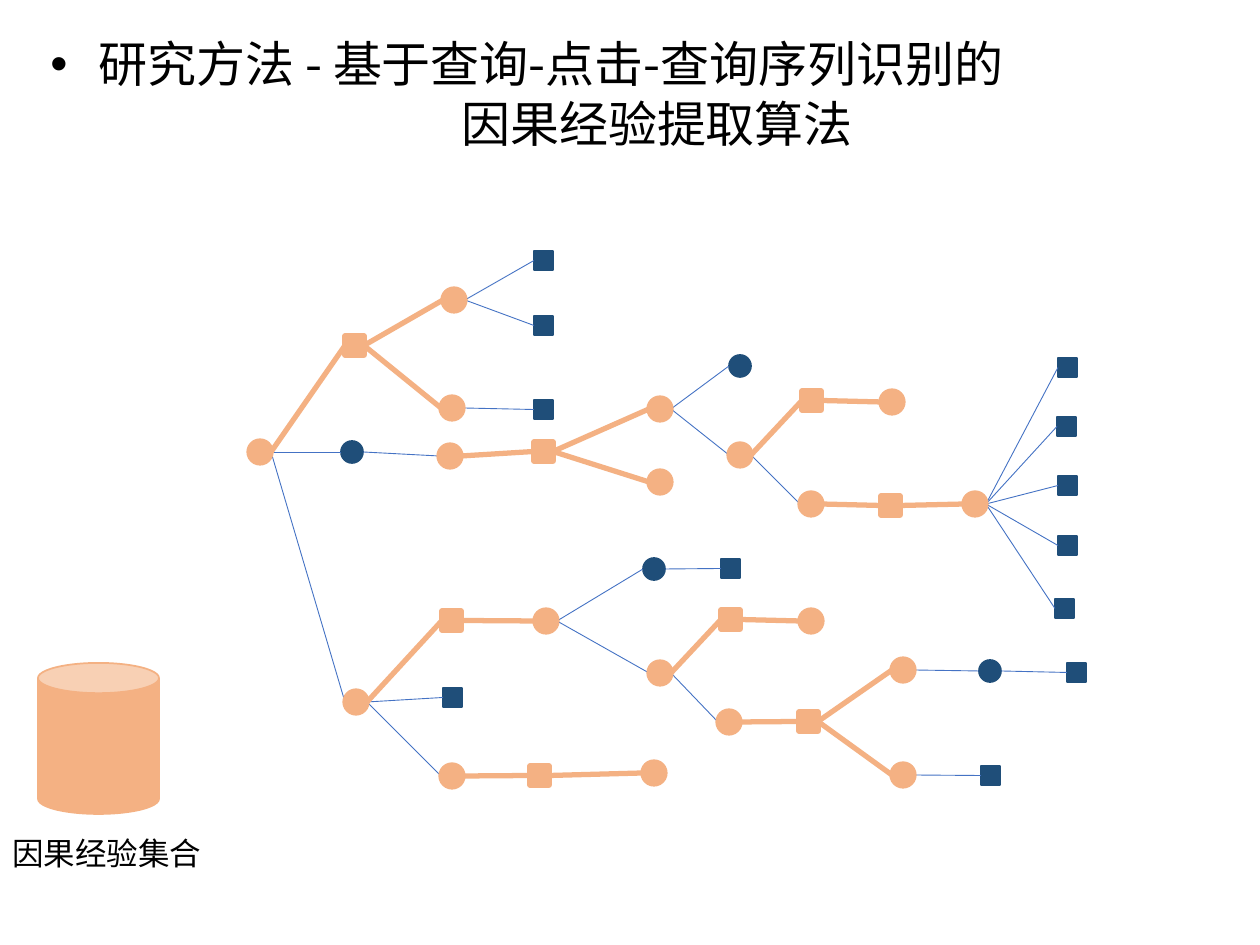
from dataclasses import dataclass
from typing import Optional

import lxml.etree
import pptx
import pptx.dml.color
import pptx.enum.shapes
import pptx.enum.text
import pptx.oxml.ns
import pptx.util

SHAPE = pptx.enum.shapes.MSO_SHAPE
RGB = pptx.dml.color.RGBColor
PX = 914400 / 126
FONT = "Noto Sans CJK SC"
BLACK = RGB(0x00, 0x00, 0x00)
NAVY = RGB(0x1F, 0x4E, 0x79)
BLUE = RGB(0x44, 0x72, 0xC4)
ORANGE = RGB(0xF4, 0xB1, 0x83)


@dataclass(frozen=True)
class Node:
    left: int
    top: int
    size: int

    @property
    def is_box(self) -> bool:
        return self.size == 19


@dataclass(frozen=True)
class Chain:
    nodes: tuple[str, ...]
    links: tuple[tuple[str, str], ...]


def dot(left: int, top: int) -> Node:
    return Node(left, top, 22)


def box(left: int, top: int) -> Node:
    return Node(left, top, 19)


def emu(px: float) -> int:
    return round(px * PX)


def add_solid(shapes, kind, left: int, top: int, width: int, height: int,
              color: RGB, border: float):
    solid = shapes.add_shape(kind, emu(left), emu(top), emu(width), emu(height))
    solid.shadow.inherit = False
    solid.fill.solid()
    solid.fill.fore_color.rgb = color
    solid.line.color.rgb = color
    solid.line.width = pptx.util.Pt(border)
    return solid


def add_node(shapes, name: str, color: RGB, border: float) -> None:
    node = NODES[name]
    kind = SHAPE.RECTANGLE if node.is_box else SHAPE.OVAL
    drawn[name] = add_solid(shapes, kind, node.left, node.top, node.size, node.size,
                            color, border)


def add_link(shapes, parent: str, child: str, color: RGB, width: float) -> None:
    start, end = NODES[parent], NODES[child]
    link = shapes.add_connector(
        pptx.enum.shapes.MSO_CONNECTOR.STRAIGHT,
        emu(start.left + start.size), emu(start.top + start.size / 2),
        emu(end.left), emu(end.top + end.size / 2))
    if start.is_box:
        link.begin_connect(drawn[parent], 3)
    if end.is_box:
        link.end_connect(drawn[child], 1)
    link.line.color.rgb = color
    link.line.width = pptx.util.Pt(width)
    lxml.etree.SubElement(link._element.spPr, pptx.oxml.ns.qn("a:effectLst"))


def add_text(shapes, left: int, top: int, width: int, height: int):
    frame = shapes.add_textbox(emu(left), emu(top), emu(width), emu(height)).text_frame
    frame.word_wrap = True
    frame.auto_size = pptx.enum.text.MSO_AUTO_SIZE.SHAPE_TO_FIT_TEXT
    return frame


def write_line(paragraph, text: str, size: int, spacing: int, margin: int = 0,
               bullet: Optional[str] = None) -> None:
    paragraph.line_spacing = pptx.util.Pt(spacing)
    props = paragraph._p.get_or_add_pPr()
    props.set("marL", str(emu(margin)))
    props.set("indent", str(emu(-margin if bullet else 0)))
    if bullet:
        font = lxml.etree.SubElement(props, pptx.oxml.ns.qn("a:buFont"))
        font.set("typeface", "Arial")
        lxml.etree.SubElement(props, pptx.oxml.ns.qn("a:buChar")).set("char", bullet)
    run = paragraph.add_run()
    run.text = text
    run.font.size = pptx.util.Pt(size)
    run.font.name = FONT
    run.font.color.rgb = BLACK
    east_asian = lxml.etree.SubElement(run._r.get_or_add_rPr(), pptx.oxml.ns.qn("a:ea"))
    east_asian.set("typeface", FONT)


# Search tree: dots are queries, boxes are clicks
NODES = {
    "root": dot(249, 441),
    "a": box(345, 336), "a1": dot(443, 289), "a2": dot(441, 397),
    "b0": dot(439, 445), "b": box(534, 442), "b1": dot(649, 398), "b2": dot(649, 471),
    "c0": dot(729, 444), "c": box(802, 391), "c1": dot(881, 391),
    "d0": dot(800, 493), "d": box(881, 496), "d1": dot(964, 493),
    "e0": dot(345, 691), "e": box(442, 611), "e1": dot(535, 610),
    "f0": dot(441, 765), "f": box(530, 766), "f1": dot(643, 762),
    "g0": dot(649, 662), "g": box(721, 610), "g1": dot(800, 610),
    "h0": dot(718, 711), "h": box(799, 712), "h1": dot(892, 659), "h2": dot(892, 764),
    "root_query": dot(341, 441), "b1_query": dot(729, 355),
    "e1_query": dot(643, 558), "h1_query": dot(979, 660),
    "a1_upper": box(534, 251), "a1_lower": box(534, 316), "a2_click": box(534, 400),
    "d1_click1": box(1058, 358), "d1_click2": box(1057, 417), "d1_click3": box(1058, 476),
    "d1_click4": box(1058, 536), "d1_click5": box(1055, 599),
    "e0_click": box(443, 688), "e1_click": box(721, 559),
    "h1_click": box(1067, 663), "h2_click": box(981, 766),
}

# Causal experiences found in the tree
CHAINS = [
    Chain(("root", "a", "a1", "a2"), (("root", "a"), ("a", "a1"), ("a", "a2"))),
    Chain(("b0", "b", "b1", "b2"), (("b0", "b"), ("b", "b1"), ("b", "b2"))),
    *(Chain((f"{key}0", key, f"{key}1"), ((f"{key}0", key), (key, f"{key}1")))
      for key in "cdefg"),
    Chain(("h0", "h", "h1", "h2"), (("h0", "h"), ("h", "h1"), ("h", "h2"))),
]

# Remaining steps of the tree
PLAIN_LINKS = [
    ("a1", "a1_upper"), ("a1", "a1_lower"), ("a2", "a2_click"),
    ("root", "root_query"), ("root_query", "b0"), ("root", "e0"),
    ("b1", "b1_query"), ("b1", "c0"), ("c0", "d0"),
    *(("d1", f"d1_click{number}") for number in range(1, 6)),
    ("e0", "e0_click"), ("e0", "f0"),
    ("e1", "e1_query"), ("e1_query", "e1_click"), ("e1", "g0"), ("g0", "h0"),
    ("h1", "h1_query"), ("h1_query", "h1_click"), ("h2", "h2_click"),
]

drawn = {}


def main() -> None:
    deck = pptx.Presentation()
    deck.slide_width, deck.slide_height = pptx.util.Inches(10), pptx.util.Inches(7.5)
    shapes = deck.slides.add_slide(deck.slide_layouts[6]).shapes

    # Title
    title = add_text(shapes, 38, 27, 1062, 131)
    write_line(title.paragraphs[0], "研究方法 - 基于查询-点击-查询序列识别的", 28, 34, 48, "•")
    write_line(title.add_paragraph(), "因果经验提取算法", 28, 34, 411)

    # Plain part of the tree
    chained = {name for chain in CHAINS for name in chain.nodes}
    for name in NODES:
        if name not in chained:
            add_node(shapes, name, NAVY, 1)
    for parent, child in PLAIN_LINKS:
        add_link(shapes, parent, child, BLUE, 0.5)

    # Highlighted chains, one group each
    for chain in CHAINS:
        group = shapes.add_group_shape().shapes
        for name in chain.nodes:
            add_node(group, name, ORANGE, 3)
        for parent, child in chain.links:
            add_link(group, parent, child, ORANGE, 3)

    # Store of causal experiences
    add_solid(shapes, SHAPE.CAN, 38, 663, 121, 151, ORANGE, 1)
    caption = add_text(shapes, 0, 827, 248, 50)
    write_line(caption.paragraphs[0], "因果经验集合", 18, 22)

    deck.save("out.pptx")


if __name__ == "__main__":
    main()
